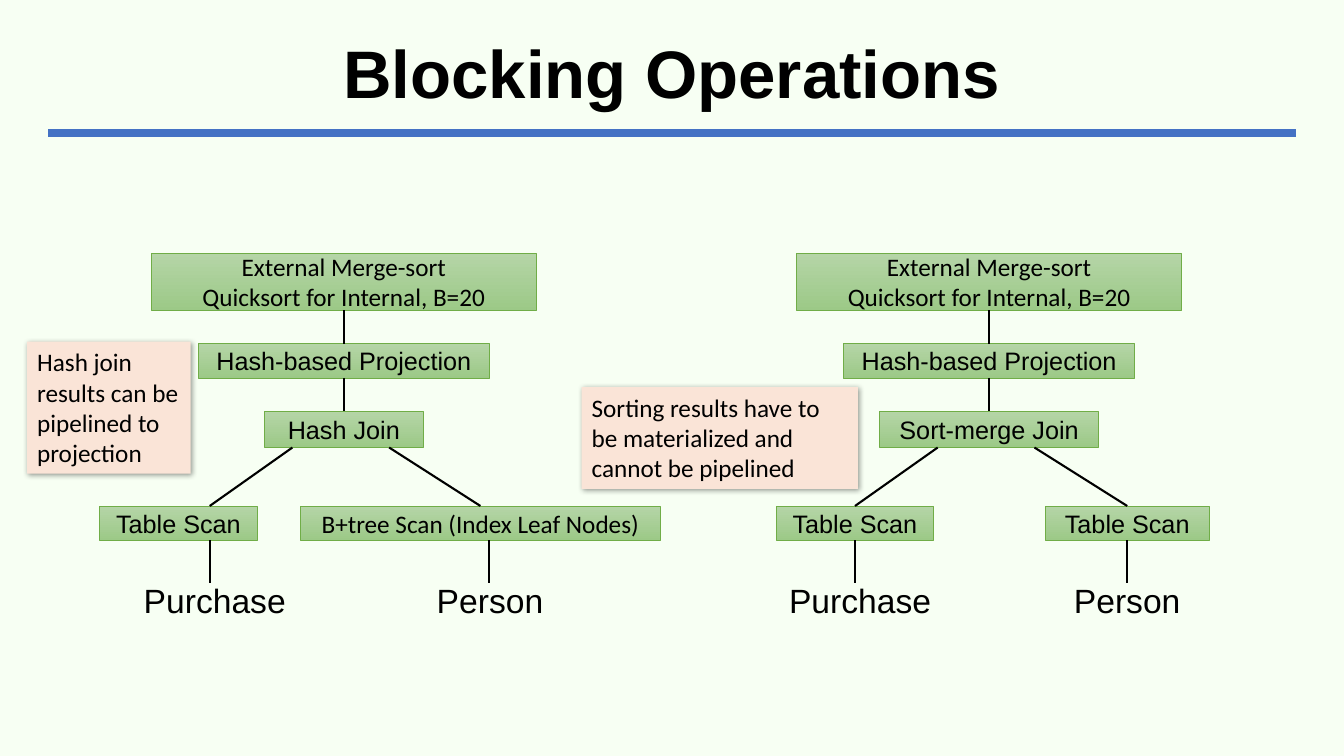
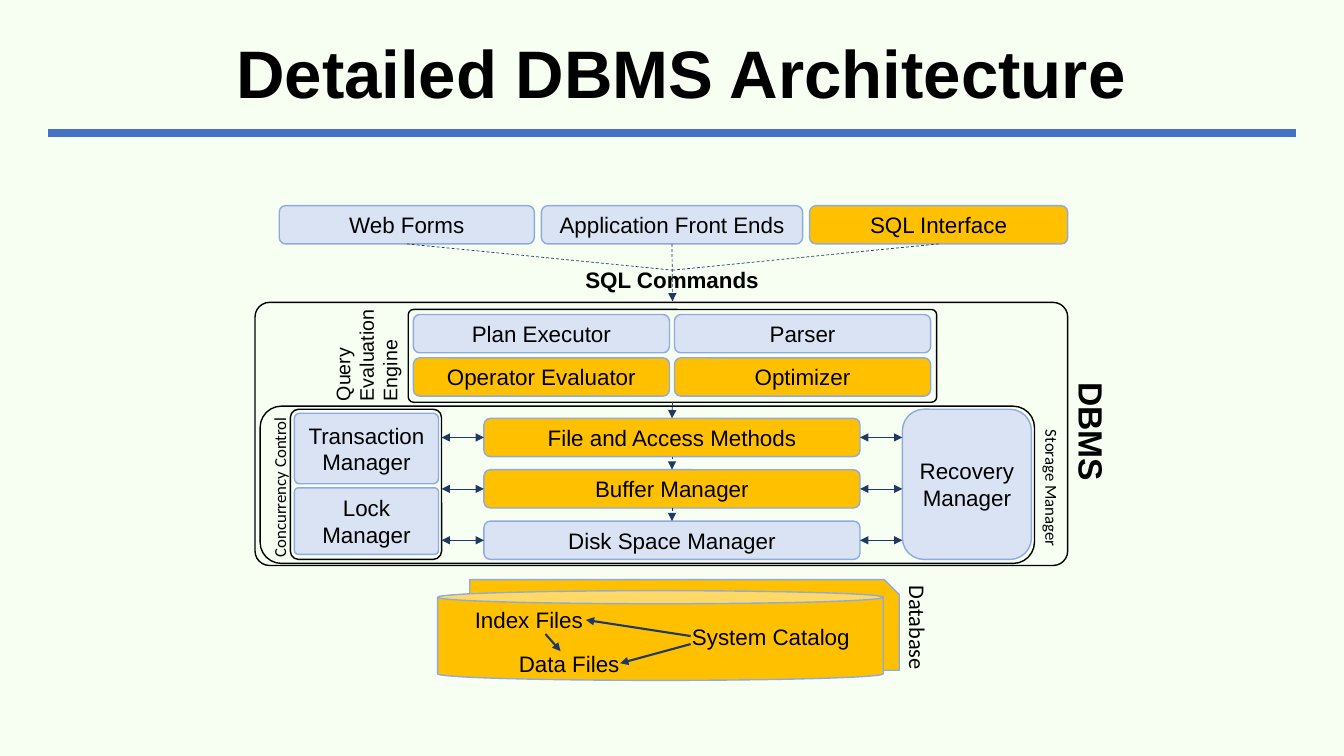
import pptx
import pptx.dml.color
import pptx.enum.dml
import pptx.enum.shapes
import pptx.enum.text
import pptx.oxml
import pptx.oxml.ns
import pptx.util
from lxml import etree

Inches, Pt = pptx.util.Inches, pptx.util.Pt
SHAPE = pptx.enum.shapes.MSO_SHAPE
ALIGN = pptx.enum.text.PP_ALIGN
ANCHOR = pptx.enum.text.MSO_ANCHOR

COLORS = {
    "background": "F7FFF3", "rule": "4472C4", "ink": "000000",
    "operator_top": "B5D5A7", "operator_bottom": "9CC987", "operator_edge": "70AD47",
    "note": "FAE4D7", "plain": "DAE3F3", "studied": "FFC000",
    "block_edge": "8FAADC", "flow": "203864",
}
FONTS = {
    "title": {"name": "Arial", "size": Pt(48), "bold": True},
    "operator": {"name": "Arial", "size": Pt(18)},
    "operator_detail": {"name": "Calibri", "size": Pt(18)},
    "relation": {"name": "Arial", "size": Pt(24)},
    "block": {"name": "Arial", "size": Pt(16)},
    "commands": {"name": "Arial", "size": Pt(16), "bold": True},
    "engine": {"name": "Arial", "size": Pt(14)},
    "manager": {"name": "Calibri", "size": Pt(12)},
    "system": {"name": "Arial", "size": Pt(24), "bold": True},
    "database": {"name": "Calibri", "size": Pt(16)},
}
LINES = {
    "rule": {"color": "rule", "width": 6},
    "branch": {"color": "ink", "width": 1.5},
    "merge": {"color": "flow", "width": 0.5, "dash": True},
    "down": {"color": "flow", "width": 0.5, "dash": True, "ends": ["tailEnd"]},
    "both": {"color": "flow", "width": 0.5, "ends": ["headEnd", "tailEnd"]},
    "lookup": {"color": "flow", "width": 1.5, "ends": ["tailEnd"]},
}


def rgb(color):
    """Return the named colour as an RGB value."""
    return pptx.dml.color.RGBColor.from_string(COLORS[color])


def write(shape, text, font, align=ALIGN.CENTER, anchor=ANCHOR.MIDDLE, spacing=None):
    """Write one paragraph for each line of text into a shape."""
    frame = shape.text_frame
    frame.word_wrap = True
    frame.vertical_anchor = anchor
    for index, line in enumerate(text.split("\n")):
        paragraph = frame.add_paragraph() if index else frame.paragraphs[0]
        paragraph.text = line
        paragraph.alignment = align
        paragraph.line_spacing = spacing
        paragraph.font.color.rgb = rgb("ink")
        for attribute, value in FONTS[font].items():
            setattr(paragraph.font, attribute, value)


def label(slide, box, text, font, rotation=0, align=ALIGN.CENTER, spacing=None):
    """Add a text box, turned by the given angle."""
    area = slide.shapes.add_textbox(*map(Inches, box))
    area.rotation = rotation
    if rotation:
        area.text_frame.margin_left = Inches(0.13)
    write(area, text, font, align, spacing=spacing)


def outline(slide, kind, box, fill=None, edge=None, width=1, corner=None):
    """Add a shape without shadow, with an optional fill and edge."""
    shape = slide.shapes.add_shape(kind, *map(Inches, box))
    shape.shadow.inherit = False
    if corner is not None:
        shape.adjustments[0] = corner
    if fill:
        shape.fill.solid()
        shape.fill.fore_color.rgb = rgb(fill)
    else:
        shape.fill.background()
    if edge:
        shape.line.color.rgb = rgb(edge)
        shape.line.width = Pt(width)
    else:
        shape.line.fill.background()
    return shape


def block(slide, box, text, fill="plain", corner=None):
    """Add a rounded component of the architecture."""
    part = outline(slide, SHAPE.ROUNDED_RECTANGLE, box, fill, "block_edge", corner=corner)
    write(part, text, "block")


def border(slide, box, corner=0.055):
    """Add an unfilled rounded border around components."""
    outline(slide, SHAPE.ROUNDED_RECTANGLE, box, edge="ink", corner=corner)


def operator(slide, box, text, font="operator"):
    """Add a query operator with a green gradient."""
    part = outline(slide, SHAPE.RECTANGLE, box, edge="operator_edge", width=0.5)
    part.fill.gradient()
    part.fill.gradient_angle = 270
    for stop, color in zip(part.fill.gradient_stops, ("operator_top", "operator_bottom")):
        stop.color.rgb = rgb(color)
    for stop, position in zip(part.fill.gradient_stops, (0, 1)):
        stop.position = position
    write(part, text, font)


def note(slide, box, text):
    """Add a remark with a soft shadow."""
    remark = outline(slide, SHAPE.RECTANGLE, box, "note")
    write(remark, text, "operator_detail", ALIGN.LEFT, ANCHOR.TOP)
    qn = pptx.oxml.ns.qn
    effects = remark._element.spPr.find(qn("a:effectLst"))
    shadow = etree.SubElement(effects, qn("a:outerShdw"), blurRad="50800", dist="12700",
                              dir="2700000", algn="tl", rotWithShape="0")
    color = etree.SubElement(shadow, qn("a:srgbClr"), val=COLORS["ink"])
    etree.SubElement(color, qn("a:alpha"), val="40000")


def side_at(slide, x, y):
    """Find the rectangle and side whose middle lies at a point."""
    near = Inches(0.02)
    for shape in slide.shapes:
        if shape.shape_type != pptx.enum.shapes.MSO_SHAPE_TYPE.AUTO_SHAPE:
            continue
        if shape.auto_shape_type not in (SHAPE.RECTANGLE, SHAPE.ROUNDED_RECTANGLE):
            continue
        right, bottom = shape.left + shape.width, shape.top + shape.height
        center, middle = (shape.left + right) // 2, (shape.top + bottom) // 2
        sides = [(center, shape.top), (shape.left, middle), (center, bottom), (right, middle)]
        for side, (side_x, side_y) in enumerate(sides):
            if abs(side_x - x) <= near and abs(side_y - y) <= near:
                return shape, side
    return None


def connect(slide, start, end, style):
    """Draw a line and join it to the rectangles whose sides it meets."""
    points = [Inches(value) for value in (*start, *end)]
    link = slide.shapes.add_connector(pptx.enum.shapes.MSO_CONNECTOR.STRAIGHT, *points)
    for join, point in ((link.begin_connect, points[:2]), (link.end_connect, points[2:])):
        target = side_at(slide, *point)
        if target:
            join(*target)
    look = LINES[style]
    link.line.color.rgb = rgb(look["color"])
    link.line.width = Pt(look["width"])
    if look.get("dash"):
        link.line.dash_style = pptx.enum.dml.MSO_LINE.DASH
    qn = pptx.oxml.ns.qn
    properties = link._element.spPr
    for end_name in look.get("ends", []):
        etree.SubElement(properties.find(qn("a:ln")), qn("a:" + end_name), type="triangle")
    etree.SubElement(properties, qn("a:effectLst"))


def titled_slide(deck, title):
    """Add a slide with the shared background, title and rule."""
    slide = deck.slides.add_slide(deck.slide_layouts[6])
    slide.background.fill.solid()
    slide.background.fill.fore_color.rgb = rgb("background")
    label(slide, (0.48, 0.24, 12.37, 1.04), title, "title", spacing=0.9)
    connect(slide, (0.48, 1.32), (12.85, 1.32), "rule")
    return slide


def query_tree(slide, left, top, join, join_width, scans):
    """Draw a query plan below its sort operator."""
    spine = left + 1.91
    steps = [
        ("External Merge-sort\nQuicksort for Internal, B=20", 0, 3.82, 0.57, "operator_detail"),
        ("Hash-based Projection", 0.9, 2.89, 0.34, "operator"),
        (join, 1.57, join_width, 0.36, "operator"),
    ]
    for text, drop, width, height, font in steps:
        operator(slide, (spine - width / 2, top + drop, width, height), text, font)
    for (_, drop, _, height, _), (_, next_drop, *_) in zip(steps, steps[1:]):
        connect(slide, (spine, top + drop + height), (spine, top + next_drop), "branch")
    hips = (1.4, 2.36)
    for hip, (text, font, offset, width, foot, stem, relation, center) in zip(hips, scans):
        operator(slide, (left + offset, top + 2.51, width, 0.34), text, font)
        connect(slide, (left + hip, top + 1.93), (left + foot, top + 2.51), "branch")
        connect(slide, (left + stem, top + 2.85), (left + stem, top + 3.27), "branch")
        label(slide, (left + center - 1, top + 3.27, 2, 0.34), relation, "relation")


def front_ends(slide, left, top):
    """Draw the clients and the commands they send."""
    clients = [("Web Forms", 0, 2.53, "plain"), ("Application Front Ends", 2.6, 2.59, "plain"),
               ("SQL Interface", 5.26, 2.56, "studied")]
    center = left + 3.9
    label(slide, (center - 1.03, top + 0.54, 2.05, 0.38), "SQL Commands", "commands")
    for text, offset, width, fill in clients:
        block(slide, (left + offset, top, width, 0.38), text, fill)
        middle = left + offset + width / 2
        direct = abs(middle - center) < 0.1
        end, style = (0.95, "down") if direct else (0.64, "merge")
        connect(slide, (middle, top + 0.38), (center, top + end), style)


def query_engine(slide, left, top):
    """Draw the query evaluation engine."""
    border(slide, (left, top, 5.24, 0.92))
    rows = [[("Plan Executor", "plain"), ("Parser", "plain")],
            [("Operator Evaluator", "studied"), ("Optimizer", "studied")]]
    for row, cells in enumerate(rows):
        for column, (text, fill) in enumerate(cells):
            cell = (left + 0.05 + 2.59 * column, top + 0.05 + 0.43 * row, 2.54, 0.38)
            block(slide, cell, text, fill)
    label(slide, (left - 1.07, top - 0.06, 1.3, 0.9), "Query Evaluation Engine",
          "engine", 270, ALIGN.LEFT)


def storage_manager(slide, left, top):
    """Draw the storage layers between concurrency control and recovery."""
    border(slide, (left, top, 7.68, 1.56), 0.135)
    border(slide, (left + 0.3, top + 0.03, 1.5, 1.49))
    block(slide, (left + 0.34, top + 0.07, 1.43, 0.7), "Transaction Manager", corner=0.075)
    block(slide, (left + 0.34, top + 0.81, 1.43, 0.66), "Lock Manager", corner=0.06)
    block(slide, (left + 6.37, top + 0.03, 1.28, 1.49), "Recovery Manager")
    layers = [("File and Access Methods", "studied"), ("Buffer Manager", "studied"),
              ("Disk Space Manager", "plain")]
    above = top - 0.04
    for row, (text, fill) in enumerate(layers):
        layer_top = top + 0.12 + 0.51 * row
        middle = layer_top + 0.19
        block(slide, (left + 2.22, layer_top, 3.73, 0.38), text, fill)
        connect(slide, (left + 4.09, above), (left + 4.09, layer_top), "down")
        connect(slide, (left + 1.8, middle), (left + 2.22, middle), "both")
        connect(slide, (left + 5.95, middle), (left + 6.37, middle), "both")
        above = layer_top + 0.38
    for text, offset, drop, width, angle in (("Concurrency Control", -0.67, 0.57, 1.72, 270),
                                             ("Storage Manager", 7.13, 0.63, 1.45, 90)):
        label(slide, (left + offset, top + drop, width, 0.4), text, "manager", angle, ALIGN.LEFT)


def database(slide, left, top):
    """Draw the stored files and the catalog that describes them."""
    outline(slide, SHAPE.SNIP_1_RECTANGLE, (left + 0.32, top, 4.26, 0.9), "studied", "block_edge")
    outline(slide, SHAPE.CAN, (left, top + 0.11, 4.42, 0.89), "studied", "block_edge", corner=0.146)
    for text, offset, drop, width in (("Index Files", 0.08, 0.21, 1.65),
                                      ("Data Files", 0.48, 0.64, 1.65),
                                      ("System Catalog", 2.3, 0.37, 2.01)):
        label(slide, (left + offset, top + drop, width, 0.38), text, "block")
    label(slide, (left + 4.21, top + 0.27, 1.11, 0.38), "Database", "database", 90)
    for x, y, end_x, end_y in ((2.51, 0.56, 1.47, 0.4), (2.51, 0.64, 1.81, 0.83),
                               (1.07, 0.54, 1.22, 0.71)):
        connect(slide, (left + x, top + y), (left + end_x, top + end_y), "lookup")


def main():
    """Build and save the deck."""
    deck = pptx.Presentation()
    deck.slide_width, deck.slide_height = Inches(13.33), Inches(7.5)

    plans = titled_slide(deck, "Blocking Operations")
    query_tree(plans, 1.5, 2.51, "Hash Join", 1.58, [
        ("Table Scan", "operator", -0.51, 1.56, 0.58, 0.58, "Purchase", 0.63),
        ("B+tree Scan (Index Leaf Nodes)", "operator_detail", 1.48, 3.57, 3.26, 3.35,
         "Person", 3.36)])
    query_tree(plans, 7.9, 2.51, "Sort-merge Join", 2.17, [
        ("Table Scan", "operator", -0.2, 1.56, 0.58, 0.58, "Purchase", 0.63),
        ("Table Scan", "operator", 2.47, 1.62, 3.28, 3.28, "Person", 3.28)])
    note(plans, (0.27, 3.39, 1.62, 1.31), "Hash join results can be pipelined to projection")
    note(plans, (5.77, 3.84, 2.74, 1.01),
         "Sorting results have to be materialized and cannot be pipelined")

    architecture = titled_slide(deck, " Detailed DBMS Architecture")
    front_ends(architecture, 2.77, 2.04)
    border(architecture, (2.53, 3, 8.06, 2.61))
    label(architecture, (10.18, 4.12, 1.3, 0.38), "DBMS", "system", 90, ALIGN.LEFT)
    query_engine(architecture, 4.05, 3.07)
    storage_manager(architecture, 2.58, 4.03)
    database(architecture, 4.34, 5.75)

    deck.save("out.pptx")


if __name__ == "__main__":
    main()
